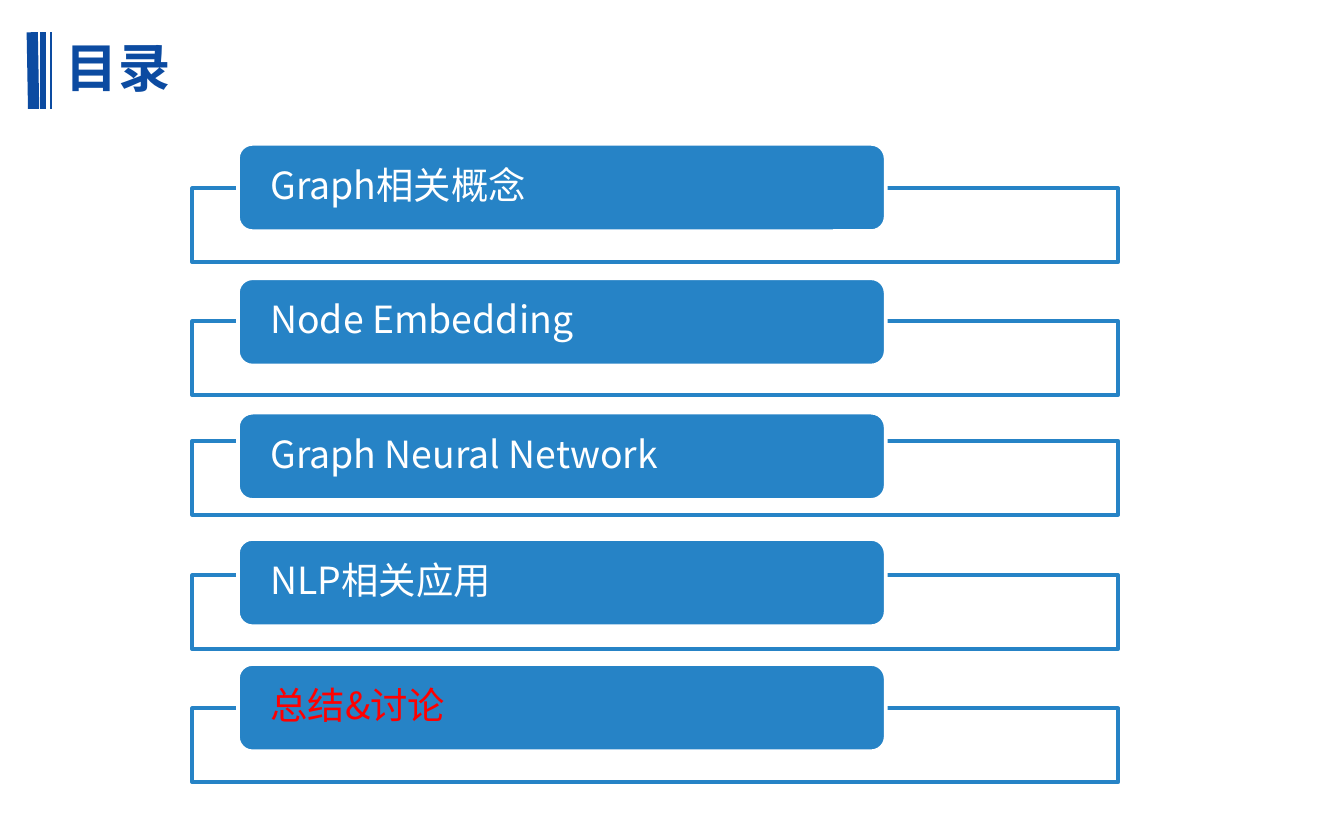
import pptx
import pptx.util
import pptx.dml.color
import pptx.enum.shapes
import pptx.enum.text
import pptx.oxml
import pptx.oxml.ns

Inches = pptx.util.Inches
Pt = pptx.util.Pt
SHAPES = pptx.enum.shapes.MSO_SHAPE
FONT = "Noto Sans CJK SC"
COLORS = {"navy": "0C4BA1", "blue": "2683C6", "white": "FFFFFF", "red": "FF0000"}
RGB = {name: pptx.dml.color.RGBColor.from_string(value) for name, value in COLORS.items()}


def write_text(frame, text, size, color, bold, frame_format):
    for name, value in frame_format.items():
        setattr(frame, name, value)
    paragraph = frame.paragraphs[0]
    paragraph.alignment = pptx.enum.text.PP_ALIGN.LEFT
    paragraph.line_spacing = 0.9
    run = paragraph.add_run()
    run.text = text
    for name, value in {"name": FONT, "size": Pt(size), "bold": bold}.items():
        setattr(run.font, name, value)
    run.font.color.rgb = RGB[color]
    east_asian = pptx.oxml.parse_xml(
        f'<a:ea {pptx.oxml.ns.nsdecls("a")} typeface="{FONT}"/>')
    run.font._element.find(pptx.oxml.ns.qn("a:latin")).addnext(east_asian)


def add_box(shapes, preset, left, top, width, height, fill, line):
    box = shapes.add_shape(preset, Inches(left), Inches(top), Inches(width), Inches(height))
    box.shadow.inherit = False
    box.fill.solid()
    box.fill.fore_color.rgb = RGB[fill]
    box.line.color.rgb = RGB[line]
    box.line.width = Pt(2)
    return box


deck = pptx.Presentation()
deck.slide_width = Inches(10)
deck.slide_height = Inches(6.25)
slide = deck.slides.add_slide(deck.slide_layouts[5])

for start_x, end_x, weight in [(0.24, 0.25, 6), (0.32, 0.32, 3), (0.38, 0.38, 1.5)]:
    stripe = slide.shapes.add_connector(
        pptx.enum.shapes.MSO_CONNECTOR.STRAIGHT,
        Inches(start_x), Inches(0.24), Inches(end_x), Inches(0.81))
    stripe.line.color.rgb = RGB["navy"]
    stripe.line.width = Pt(weight)
    stripe._element.spPr.append(
        pptx.oxml.parse_xml(f'<a:effectLst {pptx.oxml.ns.nsdecls("a")}/>'))

heading = slide.shapes.title
heading_place = {"left": 0.39, "top": 0.25, "width": 9.32, "height": 0.55}
for name, value in heading_place.items():
    setattr(heading, name, Inches(value))
middle = {"vertical_anchor": pptx.enum.text.MSO_ANCHOR.MIDDLE, "word_wrap": True}
write_text(heading.text_frame, "目录", 28, "navy", True,
           middle | {"auto_size": pptx.enum.text.MSO_AUTO_SIZE.NONE})

topic_format = middle | {
    "margin_left": Inches(0.21), "margin_right": Inches(0.21),
    "margin_top": Inches(0.03), "margin_bottom": Inches(0.03),
}
topics = [
    ("Graph相关概念", 1.4, 1.07, "white"),
    ("Node Embedding", 2.39, 2.07, "white"),
    ("Graph Neural Network", 3.28, 3.07, "white"),
    ("NLP相关应用", 4.28, 4.01, "white"),
    ("总结&讨论", 5.27, 4.94, "red"),
]
for topic, frame_top, label_top, color in topics:
    outline = add_box(slide.shapes, SHAPES.RECTANGLE, 1.43, frame_top, 6.89, 0.55,
                      "white", "blue")
    white_fill = outline._element.spPr.find(
        pptx.oxml.ns.qn("a:solidFill")).find(pptx.oxml.ns.qn("a:srgbClr"))
    white_fill.append(pptx.oxml.parse_xml(
        f'<a:alpha {pptx.oxml.ns.nsdecls("a")} val="90000"/>'))
    label = add_box(slide.shapes, SHAPES.ROUNDED_RECTANGLE, 1.77, label_top, 4.82, 0.65,
                    "blue", "white")
    write_text(label.text_frame, topic, 20, color, False, topic_format)

deck.save("out.pptx")
